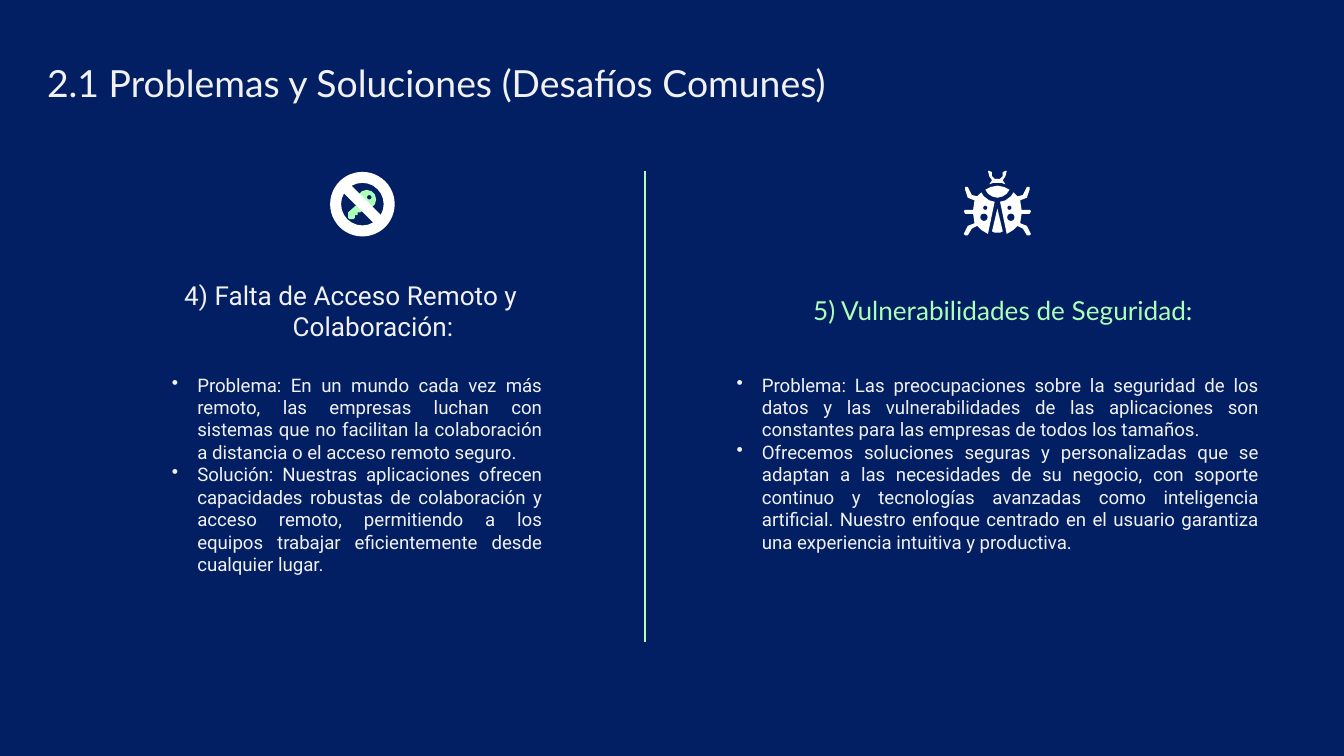
from dataclasses import dataclass

from lxml import etree
from pptx import Presentation
from pptx.dml.color import RGBColor
from pptx.enum.shapes import MSO_CONNECTOR, MSO_SHAPE
from pptx.enum.text import MSO_ANCHOR, PP_ALIGN
from pptx.oxml.ns import qn
from pptx.util import Cm, Length, Pt

STRAIGHT = MSO_CONNECTOR.STRAIGHT
OVAL, PROHIBITED = MSO_SHAPE.OVAL, MSO_SHAPE.NO_SYMBOL
TOP, BOTTOM = MSO_ANCHOR.TOP, MSO_ANCHOR.BOTTOM
LEFT, CENTER, JUSTIFY = PP_ALIGN.LEFT, PP_ALIGN.CENTER, PP_ALIGN.JUSTIFY

COLORS = {"navy": "021F64", "light": "F1F1F1", "green": "ADFFB7", "white": "FFFFFF"}
INSET = 0.25
ICON_UNIT = Cm(0.0254)
BUG_X, BUG_Y = Cm(18.85), Cm(3.23)

Points = list[tuple[float, float]]


@dataclass(frozen=True)
class TextBlock:
    left: float
    top: float
    width: float
    height: float
    texts: tuple[str, ...]
    size: float
    font: str = "Roboto"
    color: str = "light"
    align: PP_ALIGN = LEFT
    anchor: MSO_ANCHOR = TOP
    margin: float = 0
    indent: float = 0
    bullet: bool = False
    inset_top: float = INSET
    inset_bottom: float = INSET


BLOCKS = (
    TextBlock(0.64, 0.89, 24.03, 1.6,
              ("2.1 Problemas y Soluciones (Desafíos Comunes)",), 20, "Lato"),
    TextBlock(3, 6.81, 7.49, 4.8, (
        "Problema: En un mundo cada vez más remoto, las empresas luchan con sistemas "
        "que no facilitan la colaboración a distancia o el acceso remoto seguro.",
        "Solución: Nuestras aplicaciones ofrecen capacidades robustas de colaboración "
        "y acceso remoto, permitiendo a los equipos trabajar eficientemente desde "
        "cualquier lugar.",
    ), 10, align=JUSTIFY, margin=0.48, indent=-0.48, bullet=True),
    TextBlock(13.67, 6.81, 10.36, 4.27, (
        "Problema: Las preocupaciones sobre la seguridad de los datos y las "
        "vulnerabilidades de las aplicaciones son constantes para las empresas de "
        "todos los tamaños.",
        "Ofrecemos soluciones seguras y personalizadas que se adaptan a las "
        "necesidades de su negocio, con soporte continuo y tecnologías avanzadas como "
        "inteligencia artificial. Nuestro enfoque centrado en el usuario garantiza "
        "una experiencia intuitiva y productiva.",
    ), 10, align=JUSTIFY, margin=0.48, indent=-0.48, bullet=True),
    TextBlock(1.32, 5.11, 10.19, 1.6, ("4) Falta de Acceso Remoto y Colaboración:",), 14,
              align=CENTER, anchor=BOTTOM, margin=1.27, indent=-0.84),
    TextBlock(13.26, 5.11, 10.97, 1.85, ("5) Vulnerabilidades de Seguridad:",), 14,
              "Lato", "green", CENTER, BOTTOM, 1.27, -0.84,
              inset_top=0.1, inset_bottom=1.1),
)

ANTENNAE = [(0, 6), (2.5, 5.5), (4, 4), (4.5, 1), (5.5, 0), (7, 0.5), (6.5, 4),
            (4, 7), (6, 10), (3, 9.2), (0, 9)]
HEAD = [(0, 11), (5, 12), (9, 14), (7, 17), (4, 19), (0, 20)]
ABDOMEN = [(0, 28), (4, 45), (2, 45.8), (0, 46)]
WING = [(2, 23), (6, 22), (10, 19), (12, 16), (15, 19), (19, 18), (22, 12.5),
        (23, 12), (24.5, 12.5), (24.5, 14), (21.5, 20), (17, 22), (18.5, 29),
        (23.5, 29), (25, 30.5), (23.5, 32), (18.5, 32), (17, 39), (21.5, 41),
        (25, 47), (24, 48.5), (22, 48), (19, 43), (15, 41), (12, 44.5), (7, 47)]
WING_SPOTS = ((9, 27.5, 1.5), (10, 34.5, 2.7))
KEY_SHAFT = [(10, 7), (0, 16), (0, 20), (1, 21), (4, 21), (5, 20), (5, 18),
             (7, 18), (7, 16), (9, 16), (14, 12)]


def rgb(name: str) -> RGBColor:
    return RGBColor.from_string(COLORS[name])


def paint(shape, color: str) -> None:
    shape.shadow.inherit = False
    shape.fill.solid()
    shape.fill.fore_color.rgb = rgb(color)
    shape.line.fill.background()


def add_text(page, block: TextBlock) -> None:
    box = page.shapes.add_textbox(
        Cm(block.left), Cm(block.top), Cm(block.width), Cm(block.height))
    frame = box.text_frame
    frame.word_wrap = True
    frame.vertical_anchor = block.anchor
    frame.margin_left = frame.margin_right = Cm(INSET)
    frame.margin_top, frame.margin_bottom = Cm(block.inset_top), Cm(block.inset_bottom)
    for index, text in enumerate(block.texts):
        para = frame.paragraphs[0] if index == 0 else frame.add_paragraph()
        para.text = text
        para.alignment = block.align
        properties = para._p.get_or_add_pPr()
        properties.set("marL", str(Cm(block.margin)))
        properties.set("indent", str(Cm(block.indent)))
        if block.bullet:
            bullet_color = etree.SubElement(properties, qn("a:buClr"))
            etree.SubElement(bullet_color, qn("a:srgbClr"), val=COLORS[block.color])
            etree.SubElement(properties, qn("a:buChar"), char="•")
        para.font.size = Pt(block.size)
        para.font.name = block.font
        para.font.color.rgb = rgb(block.color)


def add_circle(page, x: Length, y: Length, radius: Length, color: str) -> None:
    circle = page.shapes.add_shape(OVAL, x - radius, y - radius, 2 * radius, 2 * radius)
    paint(circle, color)


def add_outline(page, points: Points, x: Length, y: Length, color: str) -> None:
    builder = page.shapes.build_freeform(*points[0], scale=ICON_UNIT)
    builder.add_line_segments(points[1:], close=True)
    paint(builder.convert_to_shape(x, y), color)


def mirror(points: Points) -> Points:
    return [(-x, y) for x, y in points]


def add_bug(page) -> None:
    for half in (ANTENNAE, HEAD, ABDOMEN):
        add_outline(page, half + mirror(half)[::-1], BUG_X, BUG_Y, "white")
    for wing in (WING, mirror(WING)):
        add_outline(page, wing, BUG_X, BUG_Y, "white")
    for side in (-1, 1):
        for x, y, radius in WING_SPOTS:
            add_circle(page, BUG_X + round(side * x * ICON_UNIT),
                       BUG_Y + round(y * ICON_UNIT), round(radius * ICON_UNIT), "navy")


def add_blocked_key(page) -> None:
    add_outline(page, KEY_SHAFT, Cm(6.58), Cm(3.61), "green")
    add_circle(page, Cm(6.93), Cm(3.77), Cm(0.18), "green")
    add_circle(page, Cm(6.98), Cm(3.73), Cm(0.04), "navy")
    sign = page.shapes.add_shape(PROHIBITED, Cm(6.24), Cm(3.25), Cm(1.22), Cm(1.22))
    sign.adjustments[0] = 0.17
    paint(sign, "white")


def add_divider(page) -> None:
    divider = page.shapes.add_connector(STRAIGHT, Cm(12.19), Cm(3.23), Cm(12.19), Cm(12.14))
    divider.line.color.rgb = rgb("green")
    divider.line.width = Pt(0.75)
    etree.SubElement(divider._element.spPr, qn("a:effectLst"))


def main() -> None:
    deck = Presentation()
    deck.slide_width, deck.slide_height = Cm(25.4), Cm(14.29)
    page = deck.slides.add_slide(deck.slide_layouts[6])
    page.background.fill.solid()
    page.background.fill.fore_color.rgb = rgb("navy")
    for block in BLOCKS:
        add_text(page, block)
    add_divider(page)
    add_bug(page)
    add_blocked_key(page)
    deck.save("out.pptx")


if __name__ == "__main__":
    main()
